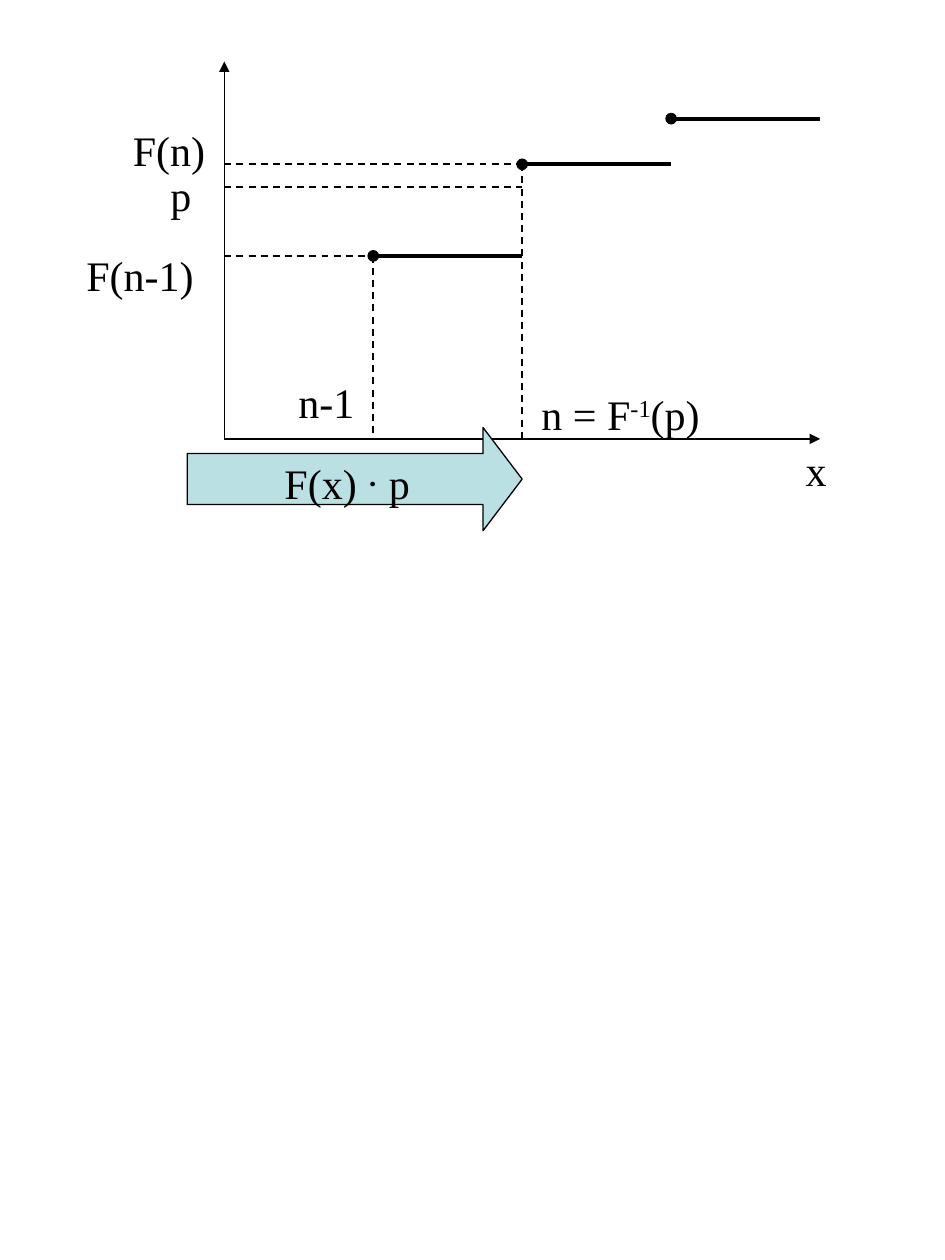
from dataclasses import dataclass

from lxml.etree import SubElement
from pptx import Presentation
from pptx.dml.color import RGBColor
from pptx.enum.dml import MSO_LINE
from pptx.enum.shapes import MSO_CONNECTOR, MSO_SHAPE
from pptx.enum.text import MSO_AUTO_SIZE, PP_ALIGN
from pptx.oxml.ns import qn
from pptx.util import Pt


@dataclass(frozen=True)
class Theme:
    ink: RGBColor = RGBColor(0, 0, 0)
    arrow_fill: RGBColor = RGBColor(0xBB, 0xE0, 0xE3)
    font: str = "Times New Roman"
    symbol_font: str = "Roboto"
    text_size: float = 24
    axis_width: float = 0.75
    guide_width: float = 1
    step_width: float = 2.25


@dataclass(frozen=True)
class Box:
    left: float
    top: float
    width: float
    height: float

    @property
    def bottom(self):
        return self.top + self.height

    def x(self, step):
        """Horizontal place of a step; the axis holds four."""
        return self.left + step * self.width / 4

    def y(self, level):
        """Vertical place of a level; the axis holds 16.5."""
        return self.bottom - level * self.height / 16.5


THEME = Theme()
LEVEL_BEFORE, LEVEL_P, LEVEL_N, LEVEL_AFTER = 8, 11, 12, 14


def add_line(slide, start, end, width, dashed=False, head=None, tail=None):
    connector = slide.shapes.add_connector(
        MSO_CONNECTOR.STRAIGHT, *(Pt(value) for value in (*start, *end)))
    connector.line.color.rgb = THEME.ink
    connector.line.width = Pt(width)
    if dashed:
        connector.line.dash_style = MSO_LINE.DASH
    outline = connector.line._get_or_add_ln()
    for tag, kind in (("a:headEnd", head), ("a:tailEnd", tail)):
        if kind:
            SubElement(outline, qn(tag), type=kind)
    SubElement(connector._element.spPr, qn("a:effectLst"))


def add_label(slide, left, top, width, runs, align=PP_ALIGN.CENTER):
    """Place one line of text; each run is (text, font, baseline)."""
    label = slide.shapes.add_textbox(Pt(left), Pt(top), Pt(width), Pt(36))
    frame = label.text_frame
    frame.word_wrap = True
    frame.auto_size = MSO_AUTO_SIZE.NONE
    paragraph = frame.paragraphs[0]
    paragraph.alignment = align
    for text, font, baseline in runs:
        run = paragraph.add_run()
        run.text = text
        run.font.name = font
        run.font.size = Pt(THEME.text_size)
        run.font.color.rgb = THEME.ink
        if baseline:
            run._r.get_or_add_rPr().set("baseline", str(baseline))


def add_guides(slide, box):
    for step, level in ((1, LEVEL_BEFORE), (2, LEVEL_N)):
        add_line(slide, (box.x(step), box.y(level)), (box.x(step), box.bottom),
                 THEME.guide_width, dashed=True)
    for level in (LEVEL_BEFORE, LEVEL_P, LEVEL_N):
        add_line(slide, (box.left, box.y(level)), (box.x(2), box.y(level)),
                 THEME.guide_width, dashed=True)


def add_axes(slide, box):
    for end in ((box.x(4), box.bottom), (box.left, box.top)):
        add_line(slide, (box.left, box.bottom), end, THEME.axis_width, tail="triangle")


def add_steps(slide, box):
    for step, level in enumerate((LEVEL_BEFORE, LEVEL_N, LEVEL_AFTER), start=1):
        add_line(slide, (box.x(step), box.y(level)), (box.x(step + 1), box.y(level)),
                 THEME.step_width, head="oval")


def add_axis_labels(slide, box):
    for text, right, level, rise, width in (
            ("F(n)", -3.9, LEVEL_N, 26.4, 62),
            ("p", -11.8, LEVEL_P, 13.4, 32),
            ("F(n-1)", -10.5, LEVEL_BEFORE, 7.2, 82)):
        add_label(slide, box.left + right - width, box.y(level) - rise, width,
                  [(text, THEME.font, 0)], PP_ALIGN.RIGHT)
    add_label(slide, box.x(1) - 52.8, box.bottom - 39.2, 52, [("n-1", THEME.font, 0)])
    add_label(slide, box.x(2) + 1, box.bottom - 32.3, 110.4, [
        ("n = F", THEME.font, 0), ("-1", THEME.font, 30000), ("(p)", THEME.font, 0)])
    add_label(slide, box.x(4) - 18, box.bottom - 0.2, 31.4, [("x", THEME.font, 0)])


def add_range_arrow(slide, box):
    arrow = slide.shapes.add_shape(
        MSO_SHAPE.RIGHT_ARROW, Pt(box.left), Pt(box.top), Pt(box.width), Pt(box.height))
    arrow.adjustments[0] = 0.494
    arrow.adjustments[1] = 0.379
    arrow.shadow.inherit = False
    arrow.fill.solid()
    arrow.fill.fore_color.rgb = THEME.arrow_fill
    arrow.line.color.rgb = THEME.ink
    arrow.line.width = Pt(THEME.axis_width)
    add_label(slide, box.left + 45.4, box.top + 13.5, 92, [
        ("F(x) ", THEME.font, 0), ("·", THEME.symbol_font, 0), (" p", THEME.font, 0)])


def add_step_plot(slide, box):
    add_guides(slide, box)
    add_axes(slide, box)
    add_steps(slide, box)
    add_axis_labels(slide, box)
    arrow_left = box.left - 21.2
    add_range_arrow(slide, Box(arrow_left, box.bottom - 6.5, box.x(2) - arrow_left, 59))


def main():
    presentation = Presentation()
    presentation.slide_width, presentation.slide_height = Pt(540), Pt(720)
    slide = presentation.slides.add_slide(presentation.slide_layouts[6])
    add_step_plot(slide, Box(128.2, 35.1, 340.4, 215.7))
    presentation.save("out.pptx")


if __name__ == "__main__":
    main()
